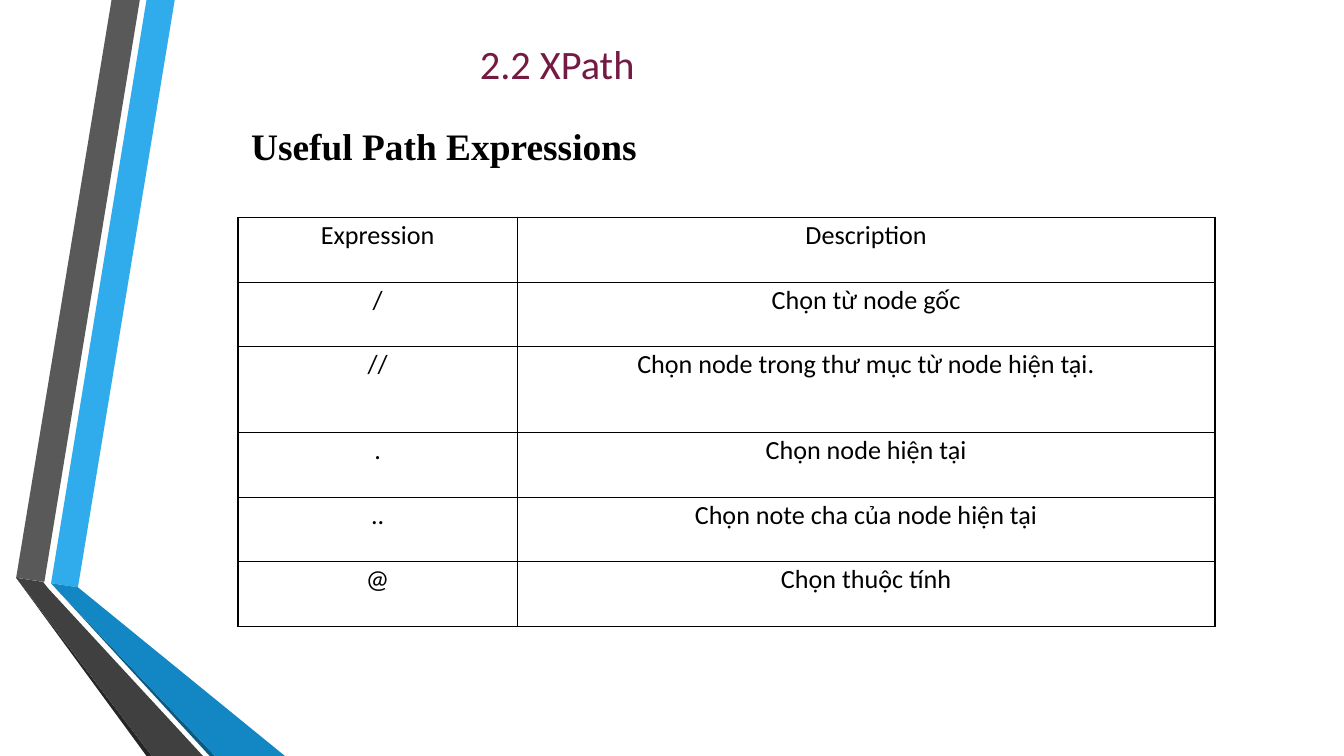
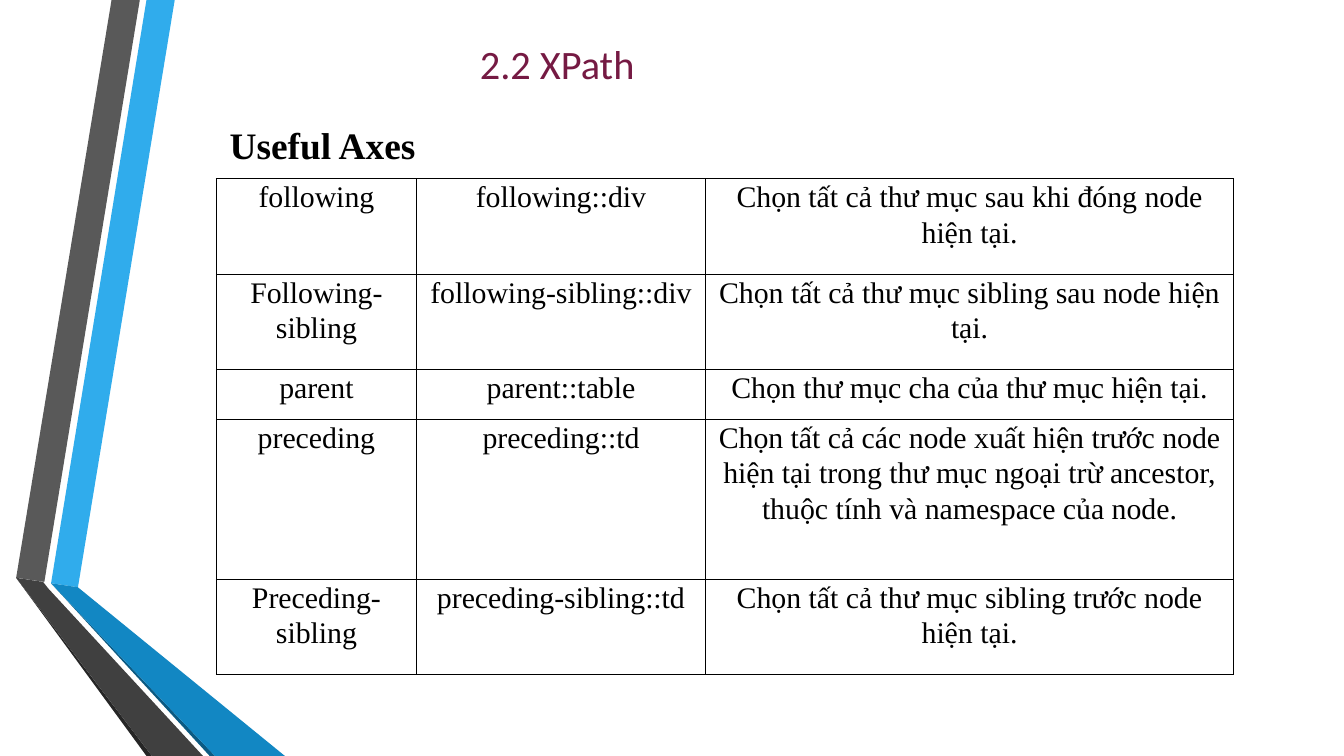
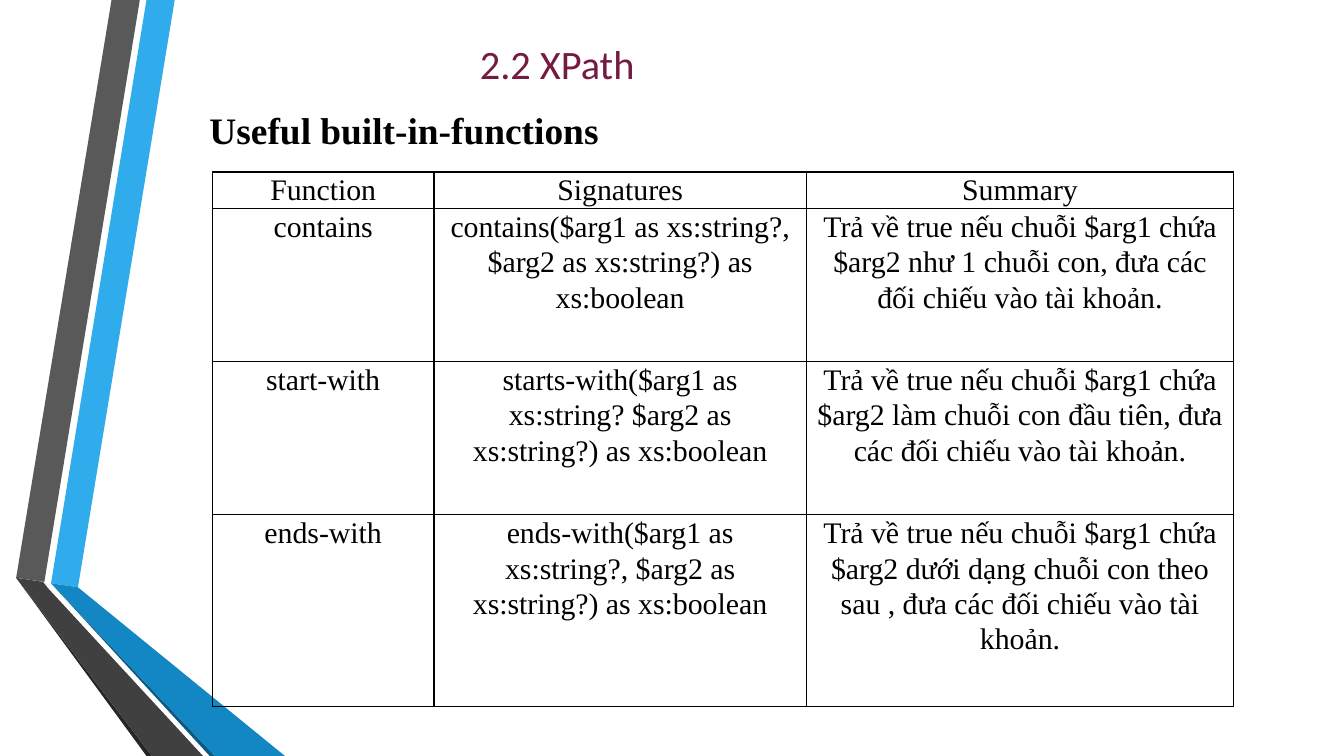
from lxml.etree import SubElement
from pptx import Presentation
from pptx.dml.color import RGBColor
from pptx.enum.text import MSO_ANCHOR as Anchor, MSO_AUTO_SIZE as AutoSize, PP_ALIGN as Align
from pptx.oxml.ns import qn
from pptx.util import Inches, Pt

# Content: heading with its place, and the table under it
TITLE = "2.2 XPath "
SANS, SERIF = "Calibri", "Times New Roman"

PAGES = [
    dict(
        heading="Useful Path Expressions", heading_at=(1.77, 0.76),
        table_at=(1.77, 1.62), font=SANS, size=14,
        columns=[2.08, 5.19], heights=[0.48, 0.48, 0.64, 0.48, 0.48, 0.48],
        rows=[
            ("Expression", "Description"),
            ("/", "Chọn từ node gốc"),
            ("//", "Chọn node trong thư mục từ node hiện tại."),
            (".", "Chọn node hiện tại"),
            ("..", "Chọn note cha của node hiện tại"),
            ("@", "Chọn thuộc tính"),
        ],
    ),
    dict(
        heading="Useful Axes", heading_at=(1.61, 0.75),
        table_at=(1.61, 1.33), font=SERIF, size=16,
        columns=[1.49, 2.15, 3.93], heights=[0.71, 0.71, 0.37, 1.19, 0.71],
        rows=[
            ("following", "following::div",
             "Chọn tất cả thư mục sau khi đóng node hiện tại."),
            ("Following-sibling", "following-sibling::div",
             "Chọn tất cả thư mục sibling sau node hiện tại."),
            ("parent", "parent::table", "Chọn thư mục cha của thư mục hiện tại."),
            ("preceding", "preceding::td",
             "Chọn tất cả các node xuất hiện trước node hiện tại trong thư mục "
             "ngoại trừ ancestor, thuộc tính và namespace của node."),
            ("Preceding-sibling", "preceding-sibling::td",
             "Chọn tất cả thư mục sibling trước node hiện tại."),
        ],
    ),
    dict(
        heading="Useful built-in-functions", heading_at=(1.46, 0.64),
        table_at=(1.58, 1.28), font=SERIF, size=16,
        columns=[1.65, 2.77, 3.18], heights=[0.27, 1.14, 1.14, 1.43],
        rows=[
            ("Function", "Signatures", "Summary"),
            ("contains",
             "contains($arg1 as xs:string?, $arg2 as xs:string?) as xs:boolean",
             "Trả về true nếu chuỗi $arg1 chứa $arg2 như 1 chuỗi con, "
             "đưa các đối chiếu vào tài khoản."),
            ("start-with",
             "starts-with($arg1 as xs:string? $arg2 as xs:string?) as xs:boolean",
             "Trả về true nếu chuỗi $arg1 chứa $arg2 làm chuỗi con đầu tiên, "
             "đưa các đối chiếu vào tài khoản."),
            ("ends-with",
             "ends-with($arg1 as xs:string?, $arg2 as xs:string?) as xs:boolean",
             "Trả về true nếu chuỗi $arg1 chứa $arg2 dưới dạng chuỗi con theo sau , "
             "đưa các đối chiếu vào tài khoản."),
        ],
    ),
]

# Shared look
WIDTH = 10
HEIGHT = WIDTH * 9 / 16
BLACK = RGBColor(0x00, 0x00, 0x00)
PLUM = RGBColor(0x75, 0x1A, 0x43)
SKY = RGBColor(0x30, 0xAC, 0xEC)
BLUE = RGBColor(0x12, 0x87, 0xC3)
NAVY = RGBColor(0x0C, 0x5A, 0x82)
GREY = RGBColor(0x59, 0x59, 0x59)
CHARCOAL = RGBColor(0x40, 0x40, 0x40)
SOOT = RGBColor(0x26, 0x26, 0x26)

TITLE_AT = (0.82, 0.16)
HEADING_SIZE = (6.72, 0.59)

# Folded ribbons: colour and corners, from back to front
RIBBONS = [
    (SKY, [(0.38, 4.34), (0.58, 4.37), (1.3, 0), (1.09, 0)]),
    (GREY, [(1.04, 0), (0.83, 0), (0.12, 4.3), (0.33, 4.33)]),
    (SOOT, [(0.12, 4.3), (1.09, HEIGHT), (1.13, HEIGHT)]),
    (NAVY, [(0.38, 4.34), (1.56, HEIGHT), (1.6, HEIGHT)]),
    (BLUE, [(0.38, 4.34), (1.6, HEIGHT), (2.12, HEIGHT), (0.58, 4.37)]),
    (CHARCOAL, [(1.51, HEIGHT), (0.36, 4.38), (0.32, 4.33), (0.12, 4.3), (1.13, HEIGHT)]),
]


def inches(values):
    return [Inches(value) for value in values]


def put_text(frame, text, font=SANS, size=14, color=BLACK, bold=False,
             align=Align.CENTER, spacing=None):
    para = frame.paragraphs[0]
    para.alignment = align
    para.line_spacing = spacing
    span = para.add_run()
    span.text = text
    span.font.name, span.font.size = font, Pt(size)
    span.font.bold, span.font.color.rgb = bold, color


def put_heading(box, at, text, **style):
    """Place a title or heading box, its text resting on the bottom."""
    box.left, box.top, box.width, box.height = inches(at + HEADING_SIZE)
    frame = box.text_frame
    frame.word_wrap, frame.auto_size = True, AutoSize.NONE
    frame.vertical_anchor = Anchor.BOTTOM
    frame.margin_left = frame.margin_right = Inches(0.1)
    frame.margin_top = frame.margin_bottom = Inches(0.1)
    put_text(frame, text, **style)


def border(cell):
    props = cell._tc.get_or_add_tcPr()
    for side in ("a:lnL", "a:lnR", "a:lnT", "a:lnB"):
        line = SubElement(props, qn(side), w=str(Pt(0.75)))
        SubElement(SubElement(line, qn("a:solidFill")), qn("a:srgbClr"), val=str(BLACK))


def put_table(page, at, columns, heights, rows, font, size):
    place = inches(at + (sum(columns), sum(heights)))
    table = page.shapes.add_table(len(rows), len(columns), *place).table
    table.first_row = table.horz_banding = False
    for column, width in zip(table.columns, columns):
        column.width = Inches(width)
    for row, height, texts in zip(table.rows, heights, rows):
        row.height = Inches(height)
        for cell, text in zip(row.cells, texts):
            border(cell)
            cell.fill.background()
            cell.margin_left = cell.margin_right = Inches(0.07)
            cell.margin_top = cell.margin_bottom = 0
            put_text(cell.text_frame, text, font=font, size=size, spacing=1.07)


def put_ribbons(page, layout):
    """Draw the ribbons and hand them to the layout that all pages share."""
    for holder in list(layout.placeholders)[1:]:
        layout.shapes.element.remove(holder.element)
    for color, corners in RIBBONS:
        start, *others = [inches(corner) for corner in corners]
        outline = page.shapes.build_freeform(*start)
        outline.add_line_segments(others, close=True)
        ribbon = outline.convert_to_shape()
        ribbon.shadow.inherit = False
        ribbon.fill.solid()
        ribbon.fill.fore_color.rgb = color
        ribbon.line.fill.background()
        layout.shapes.element.append(ribbon.element)


def main():
    deck = Presentation()
    deck.slide_width, deck.slide_height = inches((WIDTH, HEIGHT))
    layout = deck.slide_layouts[5]  # title only
    for content in PAGES:
        page = deck.slides.add_slide(layout)
        if content is PAGES[0]:
            put_ribbons(page, layout)
        put_heading(page.shapes.title, TITLE_AT, TITLE, size=21.6, color=PLUM)
        box = page.shapes.add_textbox(0, 0, 0, 0)
        put_heading(box, content["heading_at"], content["heading"],
                    font=SERIF, size=20, bold=True, align=Align.LEFT)
        put_table(page, content["table_at"], content["columns"], content["heights"],
                  content["rows"], content["font"], content["size"])
    deck.save("out.pptx")


if __name__ == "__main__":
    main()
